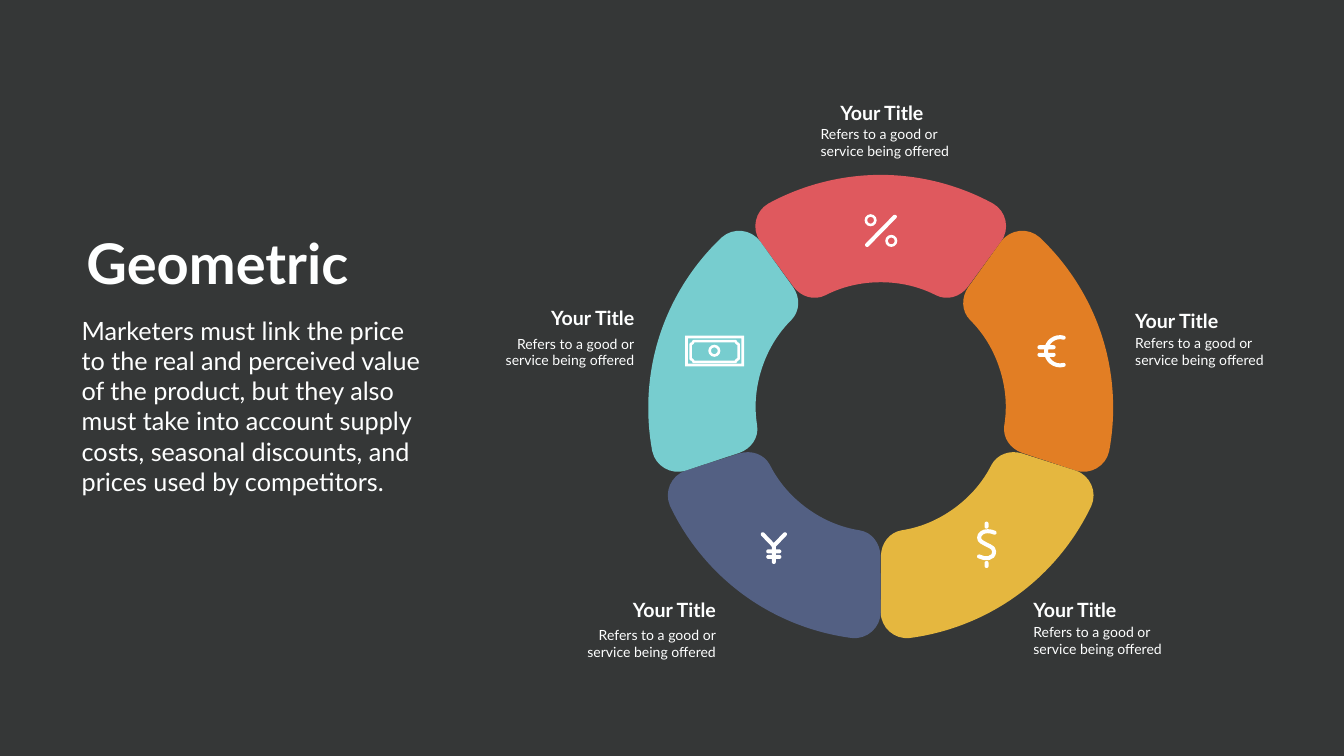
import math

from pptx import Presentation
from pptx import util as u
from pptx.dml import color
from pptx.enum import shapes, text
from pptx.oxml import ns

FONT = "Lato"
BACKGROUND, WHITE, TEXT_COLOR = "353737", "FFFFFF", "FEFFFF"
HEADING = "Geometric"
BODY = ("Marketers must link the price to the real and perceived value of the product, "
        "but they also must take into account supply costs, seasonal discounts, "
        "and prices used by competitors.")
LABEL_TITLE = "Your Title"
LABEL_LINES = "Refers to a good or\nservice being offered"

CENTER = (17.47, 8.08)
SEGMENT_COLORS = ["DF595E", "E27E24", "E5B73F", "536083", "77CDCF"]
HALF_SEGMENT = [
    (0, -4.61), (0.8, -4.61), (1.57, -4.4), (2.23, -4.04),
    (2.49, -3.89), (2.57, -3.54), (2.39, -3.29),
    (2.39, -3.29), (1.73, -2.39), (1.73, -2.39),
    (1.58, -2.19), (1.32, -2.11), (1.1, -2.22),
    (0.77, -2.39), (0.4, -2.48), (0, -2.48),
]

LEFT, RIGHT = text.PP_ALIGN.LEFT, text.PP_ALIGN.RIGHT
LABELS = [
    (LEFT, (16.57, 1.96), (16.18, 2.45)),
    (LEFT, (22.42, 6.08), (22.42, 6.59)),
    (LEFT, (20.4, 11.81), (20.4, 12.32)),
    (RIGHT, (12.34, 11.81), (11.49, 12.38)),
    (RIGHT, (10.72, 6.03), (9.87, 6.6)),
]
LABEL_SIZES = {LEFT: [(1.92, 0.51), (2.77, 0.73)], RIGHT: [(1.96, 0.56), (2.81, 0.82)]}

DOLLAR_CURVE = [
    (19.73, 10.57), (19.64, 10.53), (19.54, 10.53), (19.48, 10.57),
    (19.4, 10.62), (19.41, 10.72), (19.47, 10.75),
    (19.58, 10.83), (19.72, 10.84), (19.72, 10.94),
    (19.72, 11.1), (19.54, 11.1), (19.42, 11.04),
]
EURO_CURVE = [
    (21.1, 7.24), (20.92, 7.29), (20.75, 7.15), (20.75, 6.97),
    (20.75, 6.79), (20.92, 6.65), (21.1, 6.7),
]
BARS = {
    "percent": [((17.2, 4.86), (17.75, 4.3))],
    "euro": [((20.62, 6.89), (20.9, 6.89)), ((20.62, 7.04), (20.9, 7.04))],
    "dollar": [((19.57, 10.39), (19.57, 10.45)), ((19.57, 11.17), (19.57, 11.23))],
    "yen": [((15.13, 10.6), (15.35, 10.83)), ((15.57, 10.6), (15.35, 10.83)),
            ((15.35, 10.83), (15.35, 11.15)), ((15.24, 10.94), (15.46, 10.94)),
            ((15.24, 11.05), (15.46, 11.05))],
}
RINGS = [(17.15, 4.25), (17.56, 4.66), (14.05, 6.84)]
STROKE = 0.08


def rgb(value):
    return color.RGBColor.from_string(value)


def paint(shape, fill):
    shape.shadow.inherit = False
    shape.fill.solid()
    shape.fill.fore_color.rgb = rgb(fill)
    shape.line.fill.background()


def stroke_only(shape, width):
    shape.shadow.inherit = False
    shape.fill.background()
    shape.line.color.rgb = rgb(WHITE)
    shape.line.width = u.Inches(width)
    shape.line._get_or_add_ln().set("cap", "rnd")


def place(shape, left, top, width, height):
    shape.left, shape.top = u.Inches(left), u.Inches(top)
    shape.width, shape.height = u.Inches(width), u.Inches(height)


def add_curve(points, close):
    scaled = [(u.Inches(x), u.Inches(y)) for x, y in points]
    builder = slide.shapes.build_freeform(*scaled[0])
    builder.add_line_segments(scaled[1:], close=close)
    shape = builder.convert_to_shape()
    lines = list(shape._element.iter(ns.qn("a:lnTo")))
    for start in range(0, len(lines), 3):
        curve = lines[start].makeelement(ns.qn("a:cubicBezTo"), {})
        lines[start].addprevious(curve)
        for line in lines[start:start + 3]:
            curve.append(line[0])
            line.getparent().remove(line)
    return shape


def add_preset(kind, left, top, width, height, adjustment):
    shape = slide.shapes.add_shape(kind, *map(u.Inches, (left, top, width, height)))
    shape.adjustments[0] = adjustment
    paint(shape, WHITE)
    return shape


def add_bar(start, end):
    (x1, y1), (x2, y2) = start, end
    length = math.dist(start, end) + STROKE
    bar = add_preset(shapes.MSO_SHAPE.ROUNDED_RECTANGLE, (x1 + x2 - length) / 2,
                     (y1 + y2 - STROKE) / 2, length, STROKE, 0.5)
    bar.rotation = math.degrees(math.atan2(y2 - y1, x2 - x1))


def write(shape, content, size, align, bold=False):
    frame = shape.text_frame
    frame.text = content
    frame.word_wrap = True
    frame.auto_size = text.MSO_AUTO_SIZE.NONE
    frame.vertical_anchor = text.MSO_ANCHOR.TOP
    for paragraph in frame.paragraphs:
        paragraph.alignment = align
        paragraph.space_before = u.Pt(0)
        for run in paragraph.runs:
            run.font.name, run.font.size, run.font.bold = FONT, u.Pt(size), bold
            run.font.color.rgb = rgb(TEXT_COLOR)


presentation = Presentation()
presentation.slide_width, presentation.slide_height = u.Inches(26.66), u.Inches(15)
slide = presentation.slides.add_slide(presentation.slide_layouts[1])
slide.background.fill.solid()
slide.background.fill.fore_color.rgb = rgb(BACKGROUND)

title, body = slide.placeholders
place(title, 1.56, 4.49, 5.51, 1.45)
write(title, HEADING, 80, text.PP_ALIGN.CENTER, True)
place(body, 1.52, 6.2, 7.01, 3.65)
write(body, BODY, 36, LEFT)
properties = body.text_frame.paragraphs[0]._p.get_or_add_pPr()
properties.set("marL", "0")
properties.set("indent", "0")
properties.append(properties.makeelement(ns.qn("a:buNone"), {}))

mirrored = [(-x, y) for x, y in reversed(HALF_SEGMENT)]
segment = HALF_SEGMENT + mirrored[1:]
for index, fill in enumerate(SEGMENT_COLORS):
    turn = 2 * math.pi * index / len(SEGMENT_COLORS)
    cosine, sine = math.cos(turn), math.sin(turn)
    outline = [(CENTER[0] + x * cosine - y * sine, CENTER[1] + x * sine + y * cosine)
               for x, y in segment]
    paint(add_curve(outline, True), fill)

for bars in BARS.values():
    for bar in bars:
        add_bar(*bar)
for curve in (DOLLAR_CURVE, EURO_CURVE):
    stroke_only(add_curve(curve, False), STROKE)
for left, top in RINGS:
    add_preset(shapes.MSO_SHAPE.DONUT, left, top, 0.24, 0.24, 0.22)
add_preset(shapes.MSO_SHAPE.FRAME, 13.59, 6.66, 1.17, 0.61, 0.09)
note_border = add_preset(shapes.MSO_SHAPE.PLAQUE, 13.7, 6.77, 0.95, 0.41, 0.13)
stroke_only(note_border, 0.05)

for align, *corners in LABELS:
    styles = [(LABEL_TITLE, 28, True), (LABEL_LINES, 20, False)]
    for corner, size, (content, points, bold) in zip(corners, LABEL_SIZES[align], styles):
        box = slide.shapes.add_textbox(*map(u.Inches, corner + size))
        write(box, content, points, align, bold)

presentation.save("out.pptx")
